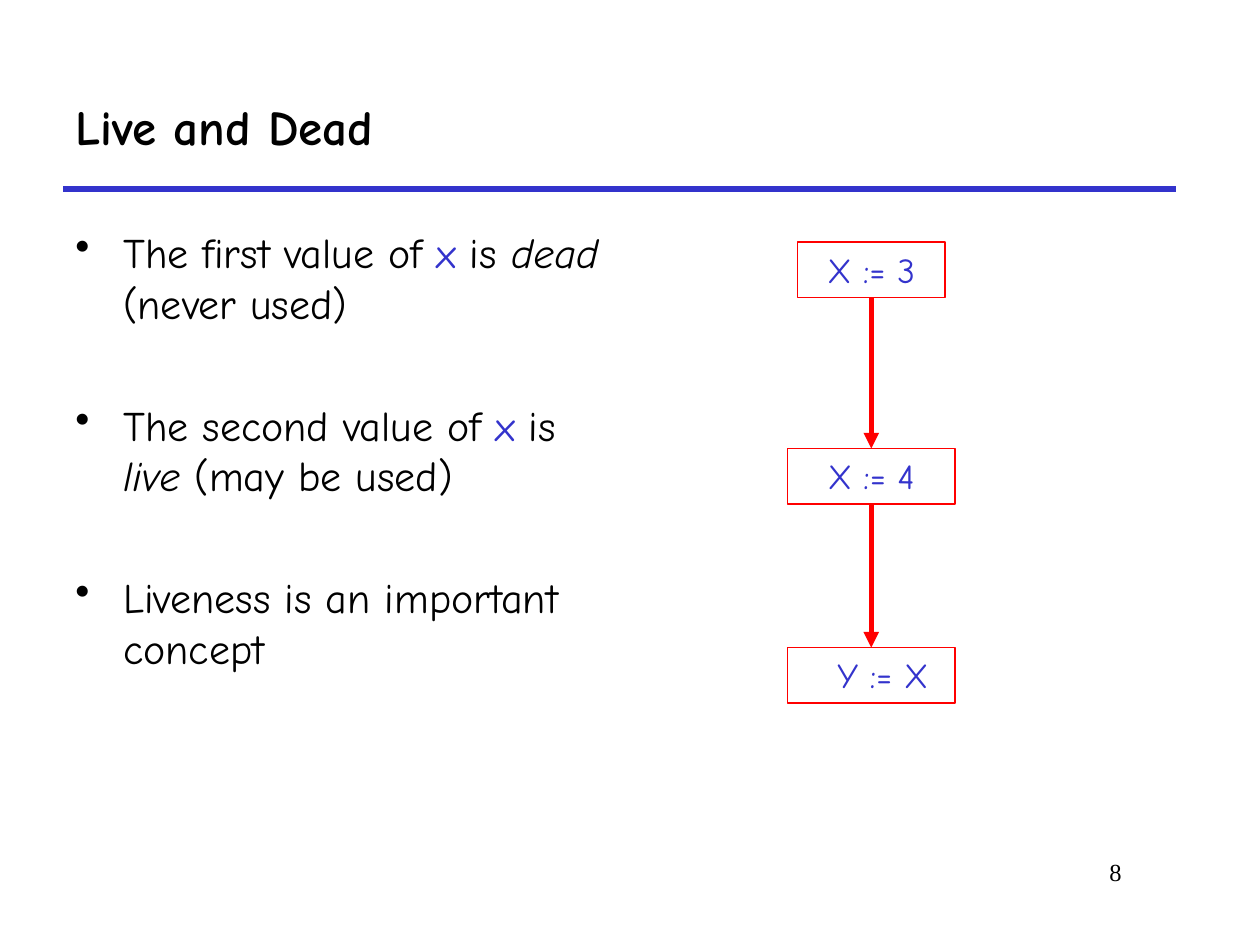
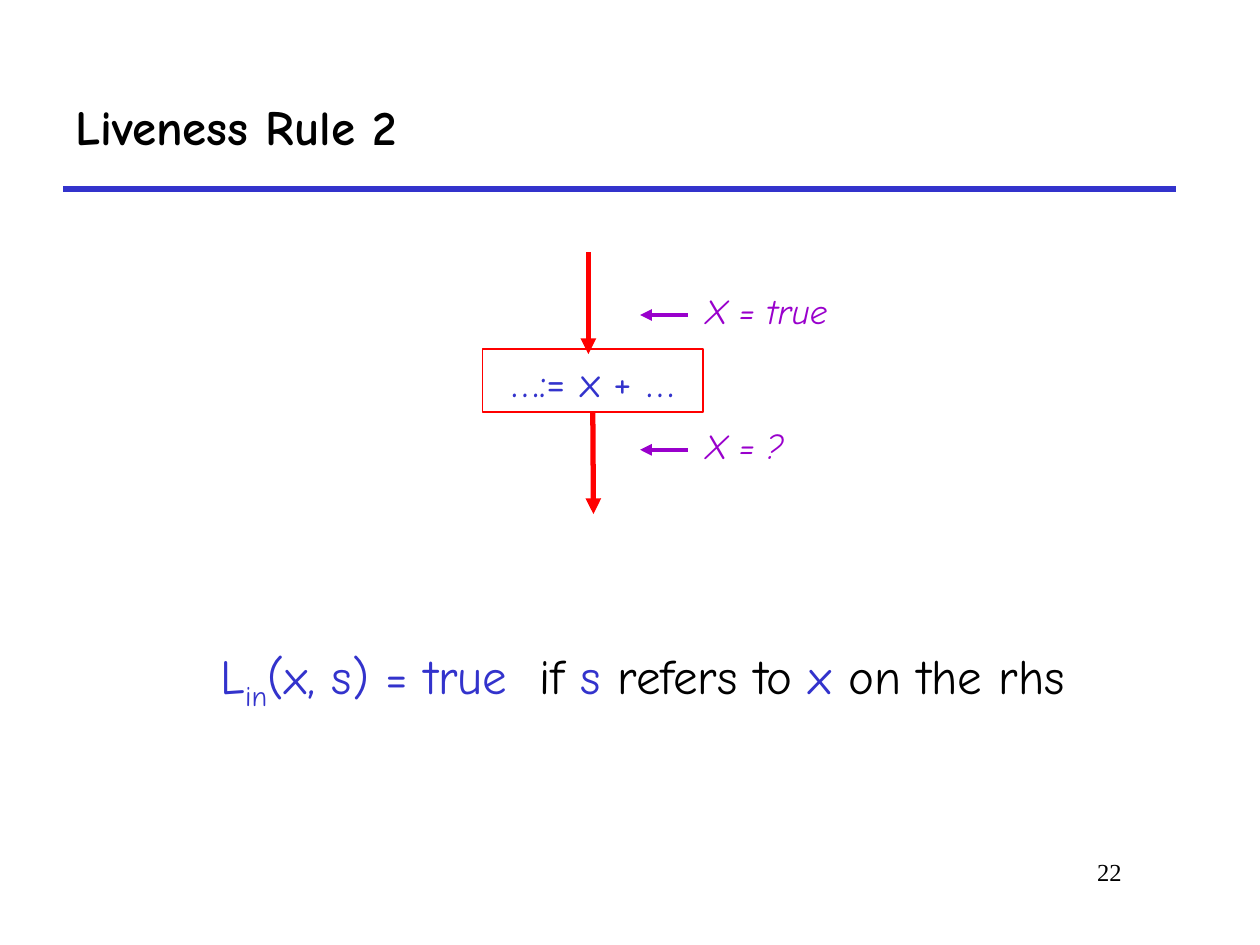
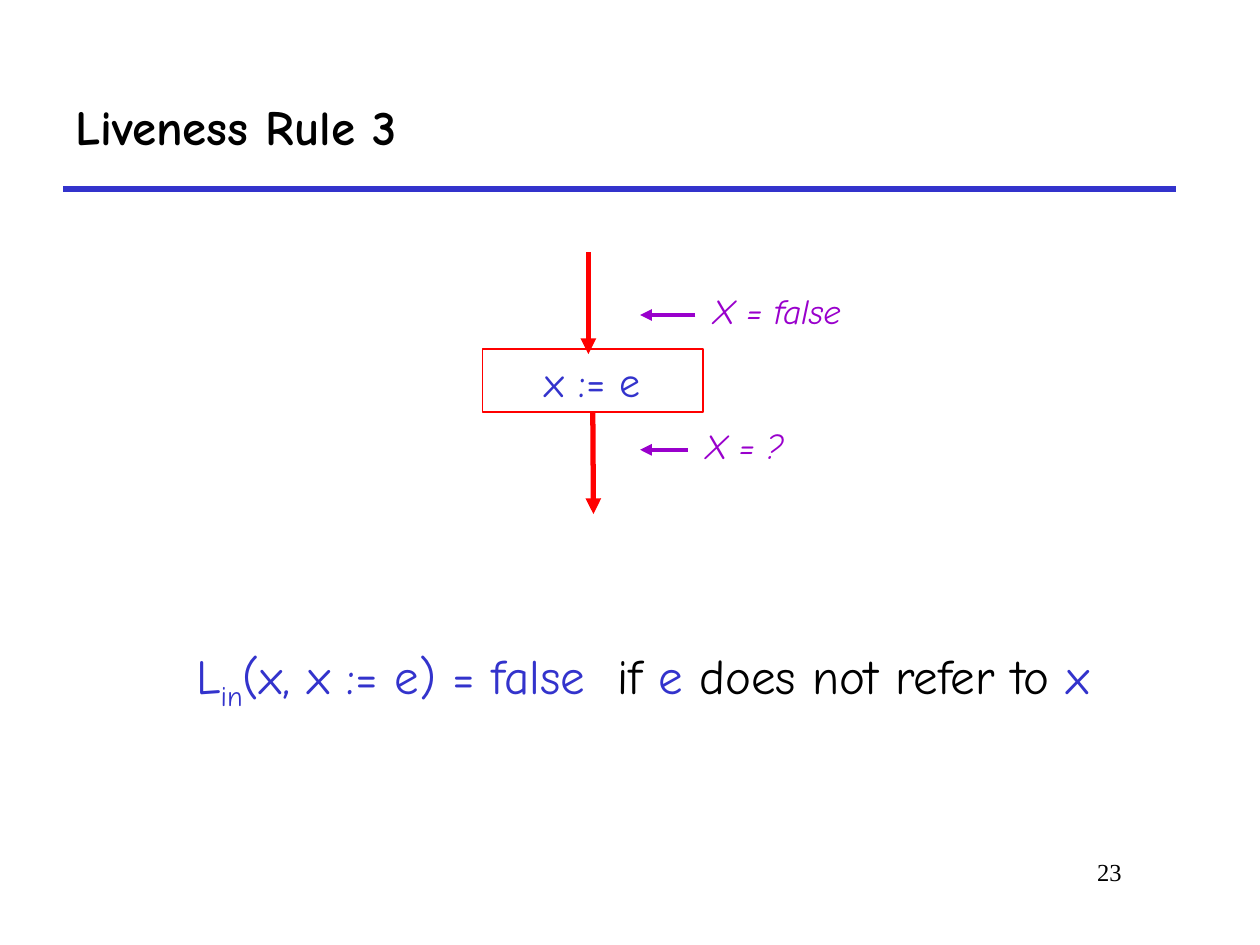
from dataclasses import dataclass

from lxml import etree
from pptx import Presentation
from pptx import util as u
from pptx.dml.color import RGBColor
from pptx.enum import shapes, text
from pptx.oxml.ns import qn


@dataclass(frozen=True)
class Theme:
    black: RGBColor = RGBColor(0x00, 0x00, 0x00)
    blue: RGBColor = RGBColor(0x33, 0x33, 0xCC)
    red: RGBColor = RGBColor(0xFF, 0x00, 0x00)
    purple: RGBColor = RGBColor(0x99, 0x00, 0xCC)
    font: str = "Comic Neue"
    number_font: str = "Times New Roman"
    title: int = 28
    body: int = 24
    label: int = 20
    number: int = 14


T = Theme()
CENTER = text.PP_ALIGN.CENTER


def add_text(s, at, paras, size=T.body, color=T.black, font=T.font, bold=False,
             italic=False, align=None, anchor=text.MSO_ANCHOR.TOP, outline=None,
             bullet=None, gap=0, left=0.1, top=0.05):
    """Add a text box, or a rectangle if outline is given.

    paras is a string or a list of paragraphs, each a list of runs.
    A run is (text, style), where style may hold color, italic and sub.
    """
    at = [u.Inches(v) for v in at]
    if outline is None:
        sp = s.shapes.add_textbox(*at)
    else:
        sp = s.shapes.add_shape(shapes.MSO_SHAPE.RECTANGLE, *at)
        sp.shadow.inherit = False
        sp.fill.background()
        sp.line.color.rgb = outline
        sp.line.width = u.Pt(0.75)
    tf = sp.text_frame
    tf.word_wrap = True
    tf.vertical_anchor = anchor
    tf.margin_left, tf.margin_top = u.Inches(left), u.Inches(top)
    if isinstance(paras, str):
        paras = [[(paras, {})]]
    for i, runs in enumerate(paras):
        p = tf.paragraphs[0] if i == 0 else tf.add_paragraph()
        p.alignment = align
        p.space_before = u.Pt(gap if i else 0)
        if bullet:
            pPr = p._p.get_or_add_pPr()
            pPr.set("marL", str(u.Inches(0.38)))
            pPr.set("indent", str(-u.Inches(0.38)))
            etree.SubElement(pPr, qn("a:buChar"), char=bullet)
        for words, style in runs:
            r = p.add_run()
            r.text = words
            r.font.name, r.font.size, r.font.bold = font, u.Pt(size), bold
            r.font.italic = style.get("italic", italic)
            r.font.color.rgb = style.get("color", color)
            if style.get("sub"):
                r.font._element.set("baseline", "-25000")
    return sp


def add_line(s, start, end, color=T.red, width=3, arrow=True):
    """Draw a line; each end is an (x, y) pair or a (shape, site) pair to join."""
    points = [(0, 0) if hasattr(e[0], "shape_id") else e for e in (start, end)]
    cx = s.shapes.add_connector(shapes.MSO_CONNECTOR.STRAIGHT,
                                *[u.Inches(v) for pt in points for v in pt])
    for e, join in ((start, cx.begin_connect), (end, cx.end_connect)):
        if hasattr(e[0], "shape_id"):
            join(*e)
    cx.line.color.rgb = color
    cx.line.width = u.Pt(width)
    if arrow:
        etree.SubElement(cx.line._get_or_add_ln(), qn("a:tailEnd"), type="triangle")
    etree.SubElement(cx._element.spPr, qn("a:effectLst"))


prs = Presentation()
prs.slide_width, prs.slide_height = u.Inches(10), u.Inches(7.5)

# Title, divider and number on every slide
slides = []
for title, number in (("Live and Dead", "8"), ("Liveness Rule 2", "22"),
                      ("Liveness Rule 3", "23")):
    s = prs.slides.add_slide(prs.slide_layouts[6])
    add_line(s, (0.5, 1.5), (9.33, 1.5), color=T.blue, arrow=False)
    add_text(s, (6.92, 6.75, 2.08, 0.5), number, size=T.number,
             font=T.number_font, align=text.PP_ALIGN.RIGHT)
    add_text(s, (0.5, 0.5, 8.83, 1), title, size=T.title, bold=True,
             anchor=text.MSO_ANCHOR.MIDDLE)
    slides.append(s)

# Live and Dead
blue, italic, plain = {"color": T.blue}, {"italic": True}, {}
s = slides[0]
add_text(s, (0.5, 1.75, 4.46, 4.83), [
    [("The first value of ", plain), ("x", blue), (" is ", plain),
     ("dead ", italic), ("(never used)", plain)],
    [("The second value of ", plain), ("x ", blue), ("is ", plain),
     ("live", italic), (" (may be used)", plain)],
    [("Liveness is an important concept", plain)],
], bullet="•", gap=41)

previous = None
for code, x, y, w, left in (("X := 3", 6.33, 1.92, 1.17, 0.1),
                            ("X := 4", 6.25, 3.56, 1.33, 0.1),
                            ("Y := X", 6.25, 5.14, 1.33, 0.28)):
    box = add_text(s, (x, y, w, 0.44), code, size=T.label, color=T.blue,
                   align=CENTER, outline=T.red, left=left)
    if previous is not None:
        add_line(s, (previous, 2), (box, 0))
    previous = box

# Liveness rules: statement, value before it, label offset, rule
sub = {"color": T.blue, "sub": True}
rules = (
    ("…:= x + …", "X = true", 0, [
        ("(x, s) = true ", blue), (" if ", plain), ("s", blue),
        (" refers to ", plain), ("x", blue), (" on the rhs", plain)]),
    ("x := e", "X = false", 0.06, [
        ("(x, x := e) = false ", blue), (" if ", plain), ("e ", blue),
        ("does not refer to", plain), (" x", blue)]),
)
for s, (code, before, shift, rule) in zip(slides[1:], rules):
    add_text(s, (0.5, 4.5, 9.08, 2.08), [[("L", blue), ("in", sub)] + rule],
             size=T.title, align=CENTER, left=0.22, top=0.62)
    box = add_text(s, (3.83, 2.77, 1.75, 0.5), code, color=T.blue,
                   align=CENTER, outline=T.red)
    add_line(s, (box, 2), (4.71, 4.08))
    add_line(s, (4.67, 2), (4.67, 2.81))
    for value, y, dx in ((before, 2.25, shift), ("X = ?", 3.32, 0)):
        add_text(s, (5.5 + dx, y, 1.33 + 3 * dx, 0.44), value, size=T.label,
                 color=T.purple, italic=True)
        add_line(s, (5.46 + dx, y + 0.25), (5.08, y + 0.25),
                 color=T.purple, width=2.25)

prs.save("out.pptx")
